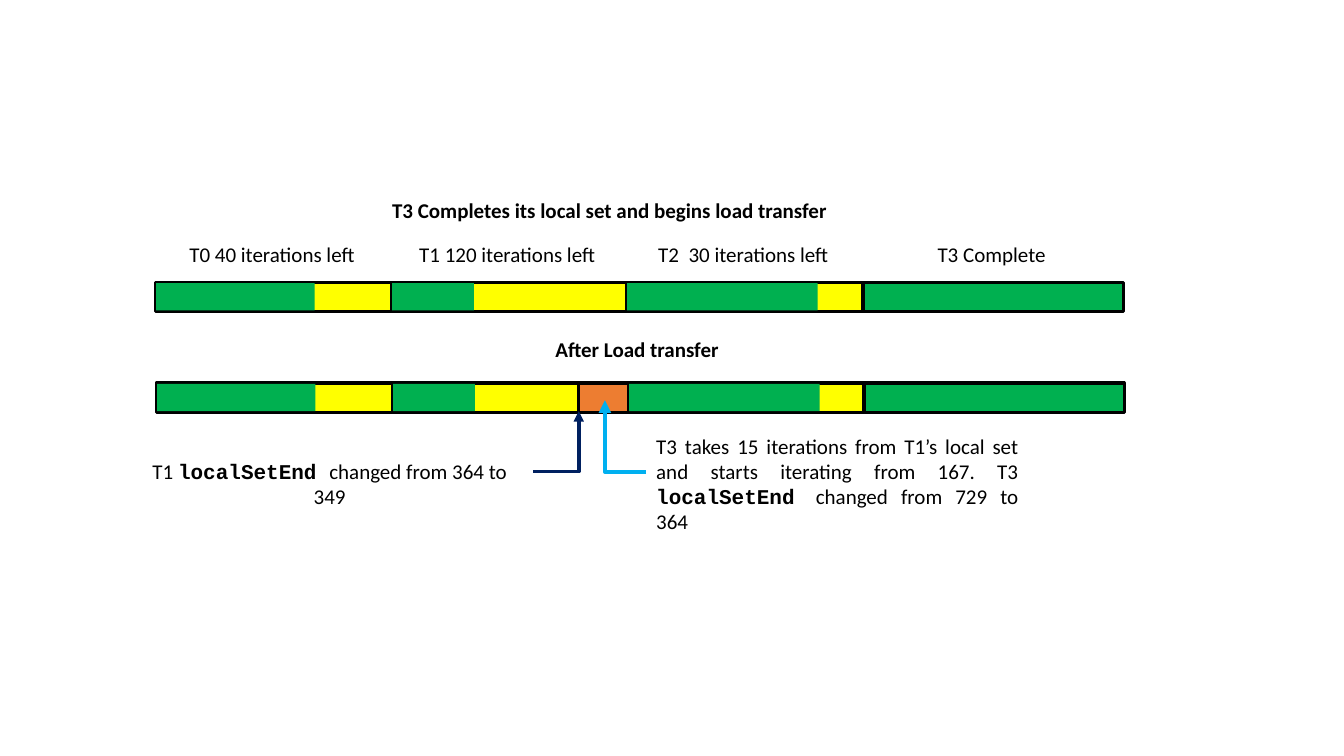
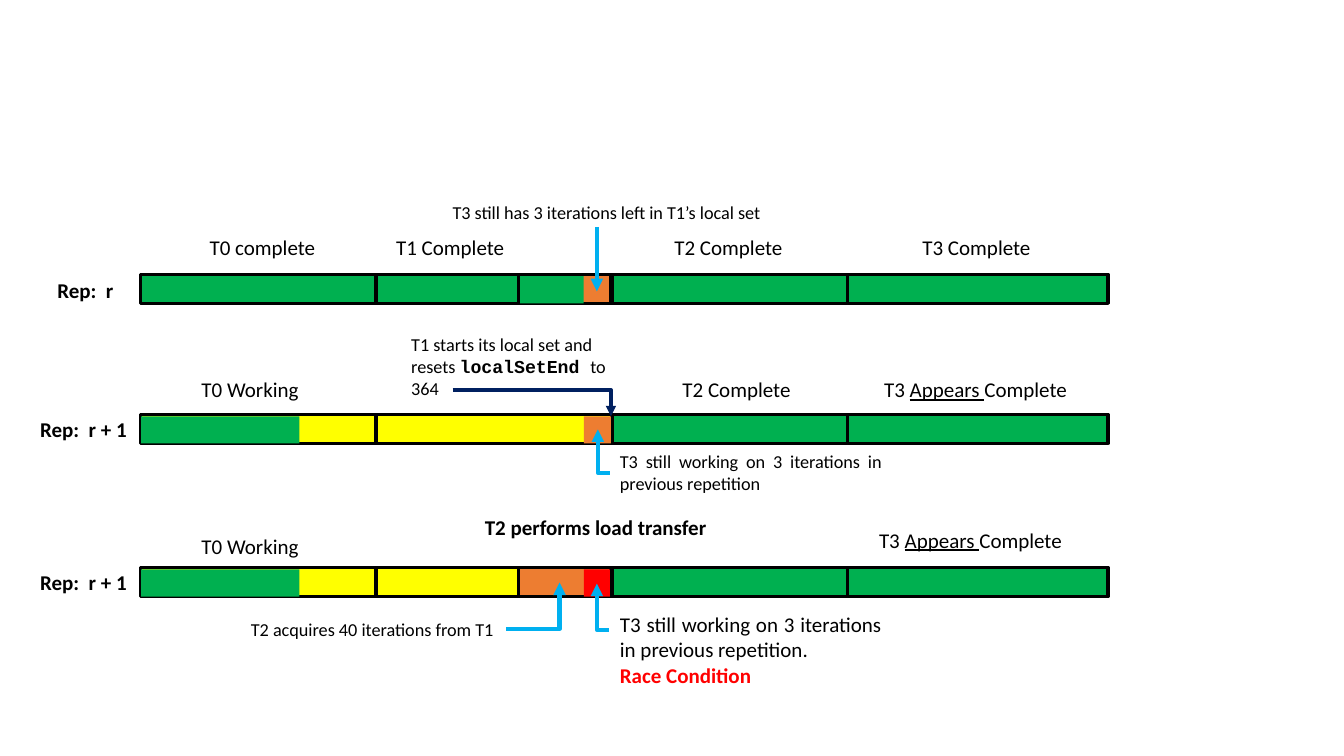
from lxml.etree import SubElement
from pptx import Presentation
from pptx.dml.color import RGBColor
from pptx.enum.shapes import MSO_CONNECTOR as CONN, MSO_SHAPE as SHAPE
from pptx.enum.text import MSO_AUTO_SIZE as AUTO, PP_ALIGN as ALIGN
from pptx.oxml.ns import qn
from pptx.util import Emu, Pt

BLACK, GREEN, YELLOW, ORANGE = "000000", "00B050", "FFFF00", "ED7D31"
RED, NAVY, SKY = "FF0000", "002060", "00B0F0"
CELL_WIDTHS = (234, 234, 234, 258)
BAR_HEIGHT, FILL_HEIGHT = 29, 27
BOLD = {"bold": True}
CODE = ("localSetEnd ", {"name": "Courier New", "bold": True})
APPEARS = ["T3 ", ("Appears ", {"underline": True}), "Complete"]
WORKING = [YELLOW, YELLOW, GREEN, GREEN]


def px(n):
    """Turn px, a hundred to the inch, into EMU."""
    return Emu(n * 9144)


def rgb(value):
    """Turn a hex string into a colour."""
    return RGBColor.from_string(value)


def rect(s, x, y, w, h, color, outlined=False):
    """Draw a filled rectangle, with a black outline if asked."""
    shape = s.shapes.add_shape(SHAPE.RECTANGLE, px(x), px(y), px(w), px(h))
    shape.shadow.inherit = False
    shape.fill.solid()
    shape.fill.fore_color.rgb = rgb(color)
    if outlined:
        shape.line.color.rgb = rgb(BLACK)
        shape.line.width = Pt(2.25)
    else:
        shape.line.fill.background()


def label(s, x, y, w, *paragraphs, h=35, size=15, align=None, wrap=False):
    """Write paragraphs, each a list of plain or formatted runs."""
    tf = s.shapes.add_textbox(px(x), px(y), px(w), px(h)).text_frame
    tf.word_wrap = wrap
    tf.auto_size = AUTO.SHAPE_TO_FIT_TEXT
    for i, runs in enumerate(paragraphs):
        p = tf.add_paragraph() if i else tf.paragraphs[0]
        p.alignment = align
        for run in runs:
            text, extra = (run, {}) if isinstance(run, str) else run
            r = p.add_run()
            r.text = text
            fmt = {"name": "Calibri", "size": Pt(size), "color": BLACK, **extra}
            r.font.color.rgb = rgb(fmt.pop("color"))
            for key, value in fmt.items():
                setattr(r.font, key, value)


def arrow(s, x1, y1, x2, y2, color=SKY, width=3):
    """Draw an arrow that runs across first and then up or down."""
    kind = CONN.STRAIGHT if x1 == x2 else CONN.ELBOW
    line = s.shapes.add_connector(kind, px(x1), px(y1), px(x2), px(y2))
    line.line.color.rgb = rgb(color)
    line.line.width = Pt(width)
    sp = line.element.spPr
    SubElement(sp.find(qn("a:ln")), qn("a:tailEnd"), type="triangle")
    SubElement(sp, qn("a:effectLst"))
    if kind == CONN.ELBOW:
        guides = sp.find(qn("a:prstGeom")).find(qn("a:avLst"))
        SubElement(guides, qn("a:gd"), name="adj1", fmla="val 100000")


def bar(s, left, top, colors, fills, taken=None, inset=2):
    """Draw four thread cells, the taken block and the progress fills."""
    x = left
    for w, color in zip(CELL_WIDTHS, colors):
        rect(s, x, top, w, BAR_HEIGHT, color, outlined=True)
        x += w
    if taken:
        dx, w = taken
        rect(s, left + dx, top, w, BAR_HEIGHT, ORANGE, outlined=True)
    for dx, w, color in fills:
        rect(s, left + dx, top + inset, w, FILL_HEIGHT, color)


def labels(s, left, top, items):
    """Write one-line labels placed relative to a bar."""
    for dx, dy, w, runs in items:
        label(s, left + dx, top + dy, w, runs)


def before_transfer(s, left, top):
    """Show the bar before the load transfer."""
    fills = [(1, 157, GREEN), (235, 81, GREEN), (468, 189, GREEN)]
    bar(s, left, top, [YELLOW] * 3 + [GREEN], fills, inset=1)
    labels(s, left, top, [
        (225, -89, 455, [("T3 Completes its local set and begins load transfer", BOLD)]),
        (24, -45, 187, ["T0 40 iterations left"]),
        (252, -45, 197, ["T1 120 iterations left"]),
        (489, -45, 191, ["T2  30 iterations left"]),
        (766, -45, 129, ["T3 Complete"]),
    ])


def after_transfer(s, left, top):
    """Show the bar after the load transfer, with its two notes."""
    fills = [(1, 157, GREEN), (235, 81, GREEN), (469, 189, GREEN)]
    bar(s, left, top, [YELLOW] * 3 + [GREEN], fills, taken=(419, 49), inset=1)
    labels(s, left, top, [(386, -51, 185, [("After Load transfer", BOLD)])])
    label(s, left - 30, top + 70, 404, ["T1 ", CODE, "changed from 364 to 349"],
          align=ALIGN.CENTER, wrap=True)
    label(s, left + 486, top + 45, 379,
          ["T3 takes 15 iterations from T1’s local set and starts iterating "
           "from 167. T3 ", CODE, "changed from 729 to 364"],
          h=86, align=ALIGN.JUSTIFY, wrap=True)
    arrow(s, left + 374, top + 88, left + 419, top + 28, NAVY, 2.5)
    arrow(s, left + 486, top + 88, left + 445, top + 17)


def first_repetition(s, left, top):
    """Show repetition r, with T3 still busy in T1's set."""
    bar(s, left, top, [GREEN] * 4, [(377, 63, GREEN)], taken=(375, 92))
    labels(s, left, top, [
        (-92, -2, 76, [("Rep:  r", BOLD)]),
        (59, -44, 131, ["T0 complete"]),
        (244, -44, 129, ["T1 Complete"]),
        (520, -44, 129, ["T2 Complete"]),
        (766, -44, 129, ["T3 Complete"]),
    ])
    label(s, left + 300, top - 77, 379,
          ["T3 still has 3 iterations left in T1’s local set"],
          h=32, size=13, align=ALIGN.JUSTIFY, wrap=True)
    arrow(s, left + 453, top - 47, left + 453, top + 17)


def next_repetition(s, left, top):
    """Show repetition r + 1, where T1 resets its end."""
    bar(s, left, top, WORKING, [(1, 157, GREEN), (440, 27, ORANGE)])
    labels(s, left, top, [
        (-109, -3, 107, [("Rep:  r + 1", BOLD)]),
        (51, -42, 118, ["T0 Working"]),
        (528, -42, 129, ["T2 Complete"]),
        (728, -42, 203, APPEARS),
    ])
    label(s, left + 259, top - 85, 232,
          ["T1 starts its local set and resets ", CODE, "to 364"],
          h=76, size=13, wrap=True)
    label(s, left + 466, top + 31, 279,
          ["T3 still working on 3 iterations in previous repetition"],
          h=54, size=13, align=ALIGN.JUSTIFY, wrap=True)
    arrow(s, left + 310, top - 24, left + 467, top + 2, NAVY, 2.5)
    arrow(s, left + 466, top + 58, left + 454, top + 15)


def race_repetition(s, left, top):
    """Show repetition r + 1 as T2 takes load and a race begins."""
    bar(s, left, top, WORKING, [(1, 157, GREEN), (440, 26, RED)], taken=(375, 92))
    labels(s, left, top, [
        (-109, -3, 107, [("Rep:  r + 1", BOLD)]),
        (332, -57, 242, [("T2 performs load transfer", BOLD)]),
        (51, -39, 118, ["T0 Working"]),
        (723, -45, 203, APPEARS),
    ])
    label(s, left + 100, top + 45, 263, ["T2 acquires 40 iterations from T1"],
          h=32, size=13, align=ALIGN.JUSTIFY, wrap=True)
    label(s, left + 466, top + 39, 279,
          ["T3 still working on 3 iterations in previous repetition."],
          [("Race Condition", {"color": RED, "bold": True})],
          h=86, align=ALIGN.JUSTIFY, wrap=True)
    arrow(s, left + 363, top + 61, left + 416, top + 15)
    arrow(s, left + 465, top + 62, left + 453, top + 16)


def main():
    """Build both slides and save them."""
    prs = Presentation()
    prs.slide_width, prs.slide_height = px(1333), px(750)
    slides = [
        [(before_transfer, 154, 280), (after_transfer, 155, 380)],
        [(first_repetition, 139, 272), (next_repetition, 139, 411),
         (race_repetition, 139, 563)],
    ]
    for rows in slides:
        s = prs.slides.add_slide(prs.slide_layouts[6])
        for draw, left, top in rows:
            draw(s, left, top)
    prs.save("out.pptx")


if __name__ == "__main__":
    main()
